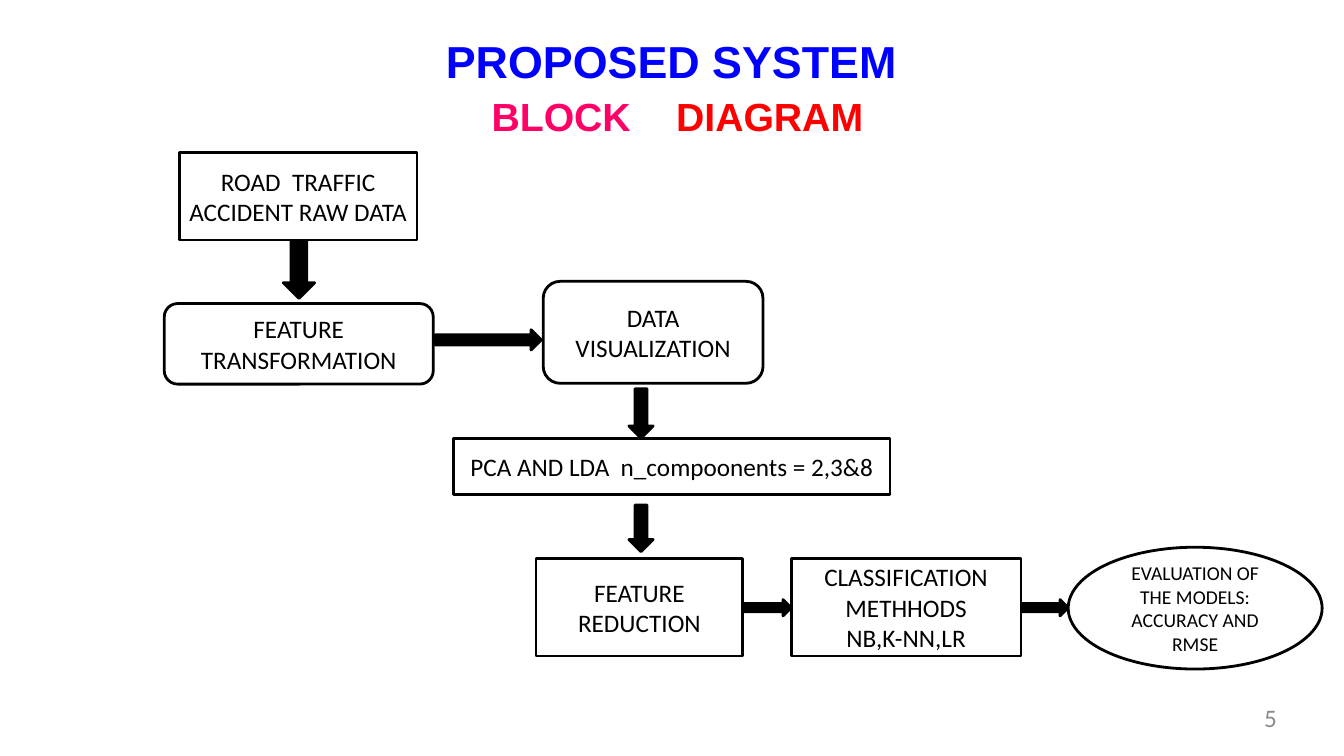
from lxml.etree import SubElement
from pptx import Presentation
from pptx.dml.color import RGBColor
from pptx.enum.shapes import MSO_SHAPE
from pptx.enum.text import MSO_ANCHOR, PP_ALIGN
from pptx.oxml.ns import qn
from pptx.util import Cm, Pt

BLACK = RGBColor(0x00, 0x00, 0x00)
WHITE = RGBColor(0xFF, 0xFF, 0xFF)
GREY = RGBColor(0x8C, 0x8C, 0x8C)
BLUE = RGBColor(0x00, 0x00, 0xFF)
PINK = RGBColor(0xFF, 0x00, 0x66)
RED = RGBColor(0xFF, 0x00, 0x00)

STEPS = [
    (MSO_SHAPE.RECTANGLE, (0.38, 0, 5.99, 2.21), 18, ["ROAD  TRAFFIC ACCIDENT RAW DATA"]),
    (MSO_SHAPE.ROUNDED_RECTANGLE, (0, 3.81, 6.78, 2.03), 18, ["FEATURE TRANSFORMATION"]),
    (MSO_SHAPE.ROUNDED_RECTANGLE, (9.55, 3.25, 5.54, 2.57), 18, ["DATA VISUALIZATION"]),
    (MSO_SHAPE.RECTANGLE, (7.29, 7.21, 11, 1.42), 18, ["PCA AND LDA  n_compoonents = 2,3&8"]),
    (MSO_SHAPE.RECTANGLE, (9.37, 10.23, 5.21, 2.46), 18, ["FEATURE REDUCTION"]),
    (MSO_SHAPE.RECTANGLE, (15.8, 10.23, 5.79, 2.46), 18, ["CLASSIFICATION METHHODS", "NB,K-NN,LR"]),
    (MSO_SHAPE.OVAL, (22.78, 9.95, 6.4, 3.07), 14, ["EVALUATION OF THE MODELS: ACCURACY AND RMSE"]),
]
ARROWS = [
    (MSO_SHAPE.DOWN_ARROW, (3, 2.18, 0.79, 1.5)),
    (MSO_SHAPE.RIGHT_ARROW, (6.83, 4.47, 2.67, 0.51)),
    (MSO_SHAPE.DOWN_ARROW, (11.71, 5.96, 0.61, 1.24)),
    (MSO_SHAPE.DOWN_ARROW, (11.71, 8.89, 0.61, 1.17)),
    (MSO_SHAPE.RIGHT_ARROW, (14.61, 11.27, 1.19, 0.41)),
    (MSO_SHAPE.RIGHT_ARROW, (21.59, 11.27, 1.19, 0.41)),
]


def add_span(para, text, size, color, font="Calibri", bold=False):
    span = para.add_run()
    span.text = text
    span.font.name = font
    span.font.size = Pt(size)
    span.font.bold = bold
    span.font.color.rgb = color


def set_margins(frame, top=0):
    frame.margin_left = frame.margin_right = frame.margin_bottom = 0
    frame.margin_top = Cm(top)


def add_title(page, left, top, width, height):
    title = page.shapes.title
    title.left, title.top, title.width, title.height = map(Cm, (left, top, width, height))
    frame = title.text_frame
    frame.word_wrap = True
    frame.vertical_anchor = MSO_ANCHOR.TOP
    set_margins(frame, 0.18)

    heading = frame.paragraphs[0]
    heading.space_before = Pt(5.4)
    add_span(heading, "PROPOSED SYSTEM", 32, BLUE, "Arial", True)

    subtitle = frame.add_paragraph()
    subtitle.space_before = Pt(4)
    properties = subtitle._p.get_or_add_pPr()
    properties.set("marL", str(Cm(0.3)))
    tabs = SubElement(properties, qn("a:tabLst"))
    SubElement(tabs, qn("a:tab"), pos=str(Cm(4.65)), algn="l")
    add_span(subtitle, "BLOCK\t", 28, PINK, "Arial", True)
    add_span(subtitle, "DIAGRAM", 28, RED, "Arial", True)
    for para in frame.paragraphs:
        para.alignment = PP_ALIGN.CENTER


def add_block(page, kind, box, fill):
    block = page.shapes.add_shape(kind, *map(Cm, box))
    block.shadow.inherit = False
    block.fill.solid()
    block.fill.fore_color.rgb = fill
    block.line.color.rgb = BLACK
    block.line.width = Pt(2)
    return block


def add_diagram(page, left, top):
    def place(box):
        return left + box[0], top + box[1], box[2], box[3]

    for kind, box in ARROWS:
        add_block(page, kind, place(box), BLACK)
    for kind, box, size, lines in STEPS:
        frame = add_block(page, kind, place(box), WHITE).text_frame
        frame.word_wrap = True
        frame.vertical_anchor = MSO_ANCHOR.MIDDLE
        for index, line in enumerate(lines):
            para = frame.add_paragraph() if index else frame.paragraphs[0]
            para.alignment = PP_ALIGN.CENTER
            add_span(para, line, size, BLACK)


def add_page_number(page, left, top, width, height):
    frame = page.shapes.add_textbox(*map(Cm, (left, top, width, height))).text_frame
    frame.word_wrap = True
    set_margins(frame)
    para = frame.paragraphs[0]
    para.alignment = PP_ALIGN.RIGHT
    add_span(para, "5", 18, GREY)


def main():
    deck = Presentation()
    deck.slide_width, deck.slide_height = Cm(33.87), Cm(19.05)
    page = deck.slides.add_slide(deck.slide_layouts.get_by_name("Title Only"))
    add_title(page, 6.25, 0.66, 21.34, 3)
    add_page_number(page, 24.38, 17.7, 7.8, 0.97)
    add_diagram(page, 4.14, 3.84)
    deck.save("out.pptx")


if __name__ == "__main__":
    main()
